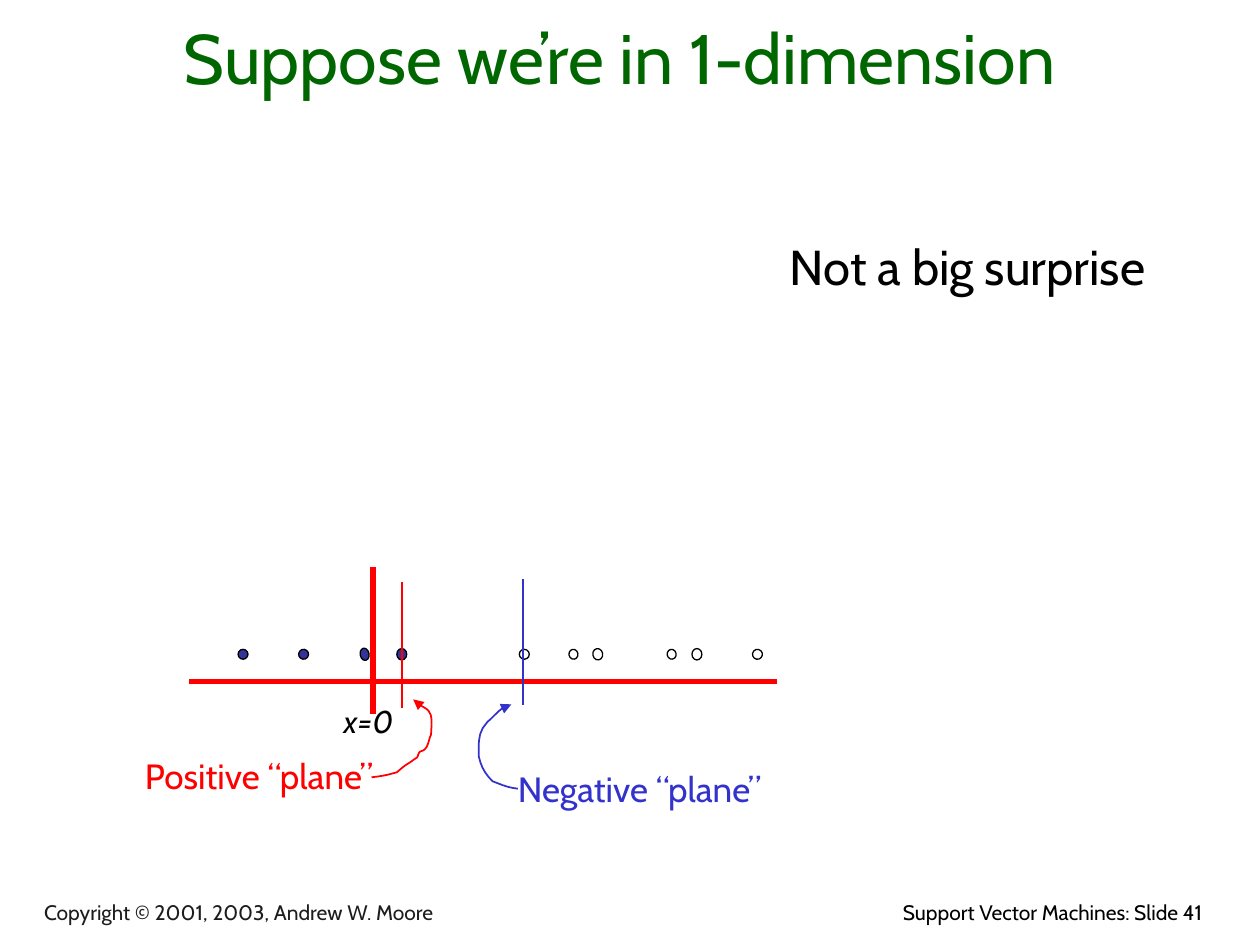
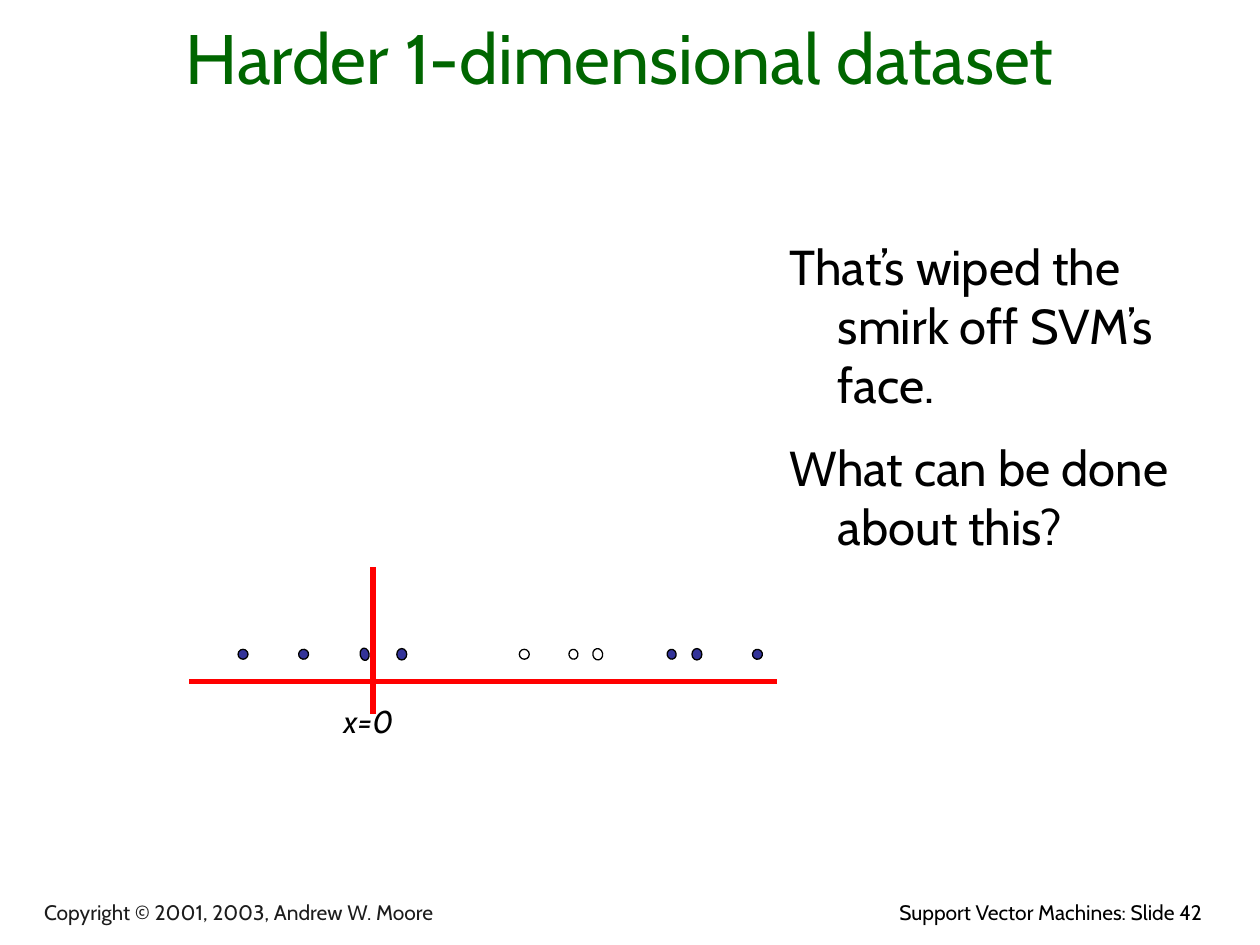
from typing import NamedTuple

from lxml import etree
from pptx import Presentation
from pptx.dml.color import RGBColor
from pptx.enum import shapes, text
from pptx.oxml import ns
from pptx.util import Cm, Pt

FONT = "Cabin"
BLACK = "000000"
WHITE = "FFFFFF"
GREEN = "006600"
GREY = "1C1C1C"
RED = "FF0000"
BLUE = "3333CC"
NAVY = "333399"
DOT_ROW = 13.19
HANGING = 0.97
CURVE_STEPS = 5
FIRST_NUMBER = 41

Point = tuple[float, float]


class Dot(NamedTuple):
    center: float
    width: float = 0.2
    height: float = 0.2
    rotation: float = 0


class Line(NamedTuple):
    start: Point
    end: Point
    color: str
    weight: float


class Label(NamedTuple):
    left: float
    top: float
    width: float
    height: float
    lines: list[str]
    size: float
    color: str = BLACK
    align: text.PP_ALIGN = text.PP_ALIGN.LEFT
    anchor: text.MSO_ANCHOR = text.MSO_ANCHOR.TOP
    italic: bool = False
    hanging: float = 0


class Curve(NamedTuple):
    points: list[Point]
    color: str


class Plane(NamedTuple):
    boundary: Line
    label: Label
    pointer: Curve


class Page(NamedTuple):
    title: str
    remarks: list[str]
    remark_height: float
    classes: str
    planes: list[Plane]


DOTS = [
    Dot(4.9),
    Dot(6.12, rotation=98.3),
    Dot(7.35, 0.25, 0.18, 79.6),
    Dot(8.1, 0.2, 0.23),
    Dot(10.57),
    Dot(11.56, 0.2, 0.18, 79.6),
    Dot(12.05, 0.23, 0.2, 79.6),
    Dot(13.54, 0.2, 0.18, 79.6),
    Dot(14.05, 0.2, 0.23),
    Dot(15.27, rotation=341.4),
]

AXES = [
    Line((7.52, 11.43), (7.52, 14.4), RED, 3),
    Line((3.81, 13.74), (15.67, 13.74), RED, 3),
]

POSITIVE = Plane(
    Line((8.1, 14.27), (8.1, 11.73), RED, 1),
    Label(2.67, 15.09, 6.2, 1.09, ["Positive “plane”"], 20, RED, hanging=HANGING),
    Curve([
        (7.49, 15.67),
        (7.7, 15.65), (7.82, 15.62), (8, 15.57),
        (8.18, 15.42), (8.08, 15.49), (8.31, 15.34),
        (8.33, 15.32), (8.41, 15.27), (8.41, 15.27),
        (8.43, 15.24), (8.43, 15.19), (8.46, 15.16),
        (8.48, 15.14), (8.53, 15.14), (8.56, 15.11),
        (8.64, 15.04), (8.64, 14.91), (8.69, 14.81),
        (8.69, 14.66), (8.74, 14.45), (8.64, 14.33),
        (8.59, 14.27), (8.43, 14.2), (8.43, 14.2),
        (8.36, 14.1), (8.41, 14.1), (8.33, 14.1),
    ], RED),
)

NEGATIVE = Plane(
    Line((10.54, 14.22), (10.54, 11.68), BLUE, 1),
    Label(10.19, 15.34, 6.2, 1.09, ["Negative “plane”"], 20, BLUE, hanging=HANGING),
    Curve([
        (10.44, 15.9),
        (10.24, 15.88), (10.11, 15.82), (9.93, 15.75),
        (9.78, 15.6), (9.7, 15.47), (9.65, 15.24),
        (9.65, 14.96), (9.63, 14.76), (9.83, 14.55),
        (9.93, 14.48), (10.08, 14.27), (10.24, 14.22),
        (10.26, 14.22), (10.31, 14.2), (10.31, 14.2),
    ], BLUE),
)

PAGES = [
    Page("Suppose we’re in 1-dimension", ["Not a big surprise"], 1.45,
         "++++------", [POSITIVE, NEGATIVE]),
    Page("Harder 1-dimensional dataset",
         ["That’s wiped the smirk off SVM’s face.", "What can be done about this?"], 7.98,
         "++++---+++", []),
]


def rgb(color: str) -> RGBColor:
    return RGBColor.from_string(color)


def set_line(shape, color: str, weight: float) -> None:
    shape.line.color.rgb = rgb(color)
    shape.line.width = Pt(weight)


def draw_label(slide, label: Label) -> None:
    box = slide.shapes.add_textbox(
        Cm(label.left), Cm(label.top), Cm(label.width), Cm(label.height))
    frame = box.text_frame
    frame.word_wrap = True
    frame.vertical_anchor = label.anchor
    frame.text = "\n".join(label.lines)
    for index, paragraph in enumerate(frame.paragraphs):
        paragraph.alignment = label.align
        if index:
            paragraph.space_before = Pt(label.size / 2)
        if label.hanging:
            properties = paragraph._p.get_or_add_pPr()
            properties.set("marL", str(Cm(label.hanging)))
            properties.set("indent", str(-Cm(label.hanging)))
        for run in paragraph.runs:
            run.font.name = FONT
            run.font.size = Pt(label.size)
            run.font.italic = label.italic
            run.font.color.rgb = rgb(label.color)


def draw_line(slide, line: Line) -> None:
    connector = slide.shapes.add_connector(
        shapes.MSO_CONNECTOR.STRAIGHT, *map(Cm, line.start + line.end))
    set_line(connector, line.color, line.weight)
    etree.SubElement(connector.element.spPr, ns.qn("a:effectLst"))


def draw_dot(slide, dot: Dot, fill: str) -> None:
    shape = slide.shapes.add_shape(
        shapes.MSO_SHAPE.OVAL,
        Cm(dot.center - dot.width / 2), Cm(DOT_ROW - dot.height / 2),
        Cm(dot.width), Cm(dot.height))
    shape.rotation = dot.rotation
    shape.fill.solid()
    shape.fill.fore_color.rgb = rgb(fill)
    set_line(shape, BLACK, 0.75)
    shape.shadow.inherit = False


def trace_bezier(points: list[Point]) -> list[Point]:
    traced = []
    for first in range(0, len(points) - 1, 3):
        section = points[first:first + 4]
        for step in range(1, CURVE_STEPS + 1):
            t = step / CURVE_STEPS
            weights = ((1 - t) ** 3, 3 * t * (1 - t) ** 2, 3 * t ** 2 * (1 - t), t ** 3)
            x, y = (sum(weight * value for weight, value in zip(weights, values))
                    for values in zip(*section))
            traced.append((Cm(x), Cm(y)))
    return traced


def draw_pointer(slide, curve: Curve) -> None:
    start_x, start_y = curve.points[0]
    builder = slide.shapes.build_freeform(Cm(start_x), Cm(start_y))
    builder.add_line_segments(trace_bezier(curve.points), close=False)
    shape = builder.convert_to_shape()
    shape.fill.background()
    set_line(shape, curve.color, 1)
    shape.shadow.inherit = False
    outline = shape.element.spPr.find(ns.qn("a:ln"))
    etree.SubElement(outline, ns.qn("a:tailEnd"), type="triangle")


def draw_frame(slide, title: str, number: int) -> None:
    draw_label(slide, Label(
        14.53, 18.01, 9.96, 0.76, [f"Support Vector Machines: Slide {number}"], 12,
        align=text.PP_ALIGN.RIGHT))
    draw_label(slide, Label(
        0.64, 18.06, 14.1, 0.71, ["Copyright © 2001, 2003, Andrew W. Moore"], 12, GREY,
        anchor=text.MSO_ANCHOR.BOTTOM))
    draw_label(slide, Label(
        0.64, 0.2, 23.7, 1.91, [title], 40, GREEN,
        align=text.PP_ALIGN.CENTER, anchor=text.MSO_ANCHOR.BOTTOM))


def draw_page(slide, page: Page, number: int) -> None:
    draw_frame(slide, page.title, number)
    for axis in AXES:
        draw_line(slide, axis)
    for dot, sign in zip(DOTS, page.classes):
        draw_dot(slide, dot, NAVY if sign == "+" else WHITE)
    draw_label(slide, Label(
        15.67, 4.65, 8.26, page.remark_height, page.remarks, 28, hanging=HANGING))
    for plane in page.planes:
        draw_line(slide, plane.boundary)
        draw_label(slide, plane.label)
        draw_pointer(slide, plane.pointer)
    draw_label(slide, Label(
        6.68, 14.02, 2.51, 1.02, ["x=0"], 18, italic=True, hanging=HANGING))


def main() -> None:
    presentation = Presentation()
    presentation.slide_width = Cm(25.4)
    presentation.slide_height = Cm(19.05)
    blank = presentation.slide_layouts[6]
    for number, page in enumerate(PAGES, FIRST_NUMBER):
        draw_page(presentation.slides.add_slide(blank), page, number)
    presentation.save("out.pptx")


if __name__ == "__main__":
    main()
